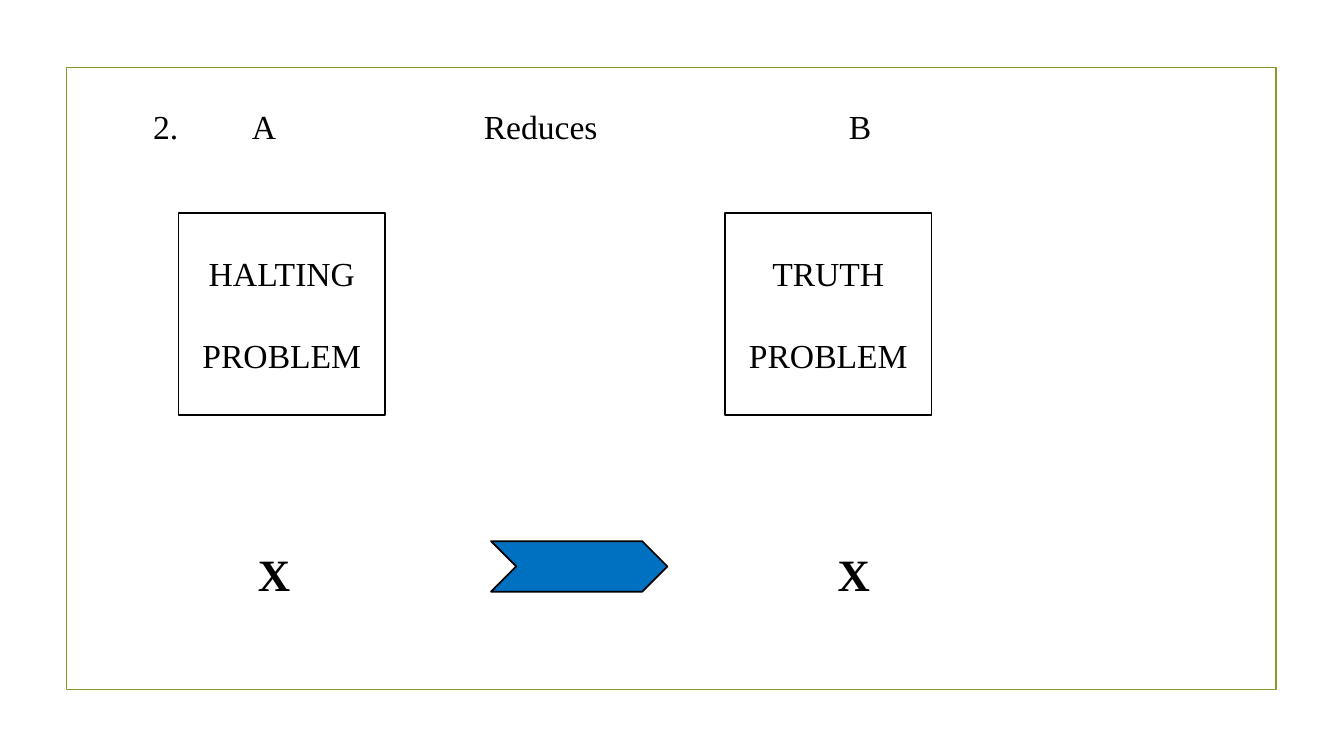
from pptx import Presentation, util as u
from pptx.dml.color import RGBColor
from pptx.enum import shapes, text
from pptx.oxml.ns import qn
from lxml import etree

PX = 9144  # EMU in one px, 100 px to the inch
FONT = "Times New Roman"
BLACK = RGBColor(0, 0, 0)
WHITE = RGBColor(255, 255, 255)
OLIVE = RGBColor(0x83, 0x99, 0x2A)
BLUE = RGBColor(0, 0x70, 0xC0)


def scale(*box):
    return [u.Emu(n * PX) for n in box]


def style(frame, size, bold=False):
    for para in frame.paragraphs:
        for run in para.runs:
            run.font.name = FONT
            run.font.size = u.Pt(size)
            run.font.bold = bold
            run.font.color.rgb = BLACK


def shape(slide, kind, box, fill, line):
    item = slide.shapes.add_shape(kind, *scale(*box))
    item.shadow.inherit = False
    if fill is None:
        item.fill.background()
    else:
        item.fill.solid()
        item.fill.fore_color.rgb = fill
    item.line.color.rgb = line
    item.line.width = u.Pt(1.25)
    return item


def label(slide, box, words, size, bold=False):
    frame = slide.shapes.add_textbox(*scale(*box)).text_frame
    frame.word_wrap = True
    frame.text = words
    style(frame, size, bold)
    return frame


def heading(slide, box, words, stops):
    """Set the words in one line, each after the first at a tab stop."""
    frame = label(slide, box, "\t".join(words), 24)
    props = frame.paragraphs[0]._p.get_or_add_pPr()
    tabs = etree.SubElement(props, qn("a:tabLst"))
    for stop in stops:
        etree.SubElement(tabs, qn("a:tab"), pos=str(stop * PX), algn="l")


def problem(slide, box, name):
    """Draw a problem's square, with its name above the word PROBLEM."""
    square = shape(slide, shapes.MSO_SHAPE.RECTANGLE, box, WHITE, BLACK)
    frame = square.text_frame
    frame.word_wrap = True
    frame.vertical_anchor = text.MSO_ANCHOR.MIDDLE
    frame.text = name + "\nPROBLEM"
    for para in frame.paragraphs:
        para.alignment = text.PP_ALIGN.CENTER
    frame.paragraphs[1].space_before = u.Pt(30)
    style(frame, 24)


def panel(slide, left, top, width, height):
    """Draw the frame and the reduction from A to B inside it."""
    shape(slide, shapes.MSO_SHAPE.RECTANGLE, (left, top, width, height),
          None, OLIVE)
    for name, start, mark in (("HALTING", 111, 180), ("TRUTH", 653, 755)):
        problem(slide, (left + start, top + 144, 205, 201), name)
        label(slide, (left + mark, top + 470, 82, 64), "X", 32, True)
    heading(slide, (left + 76, top + 33, 900, 50),
            ("2.", "A", "Reduces", "B"), (98, 328, 690))
    shape(slide, shapes.MSO_SHAPE.CHEVRON,
          (left + 421, top + 470, 175, 50), BLUE, BLACK)


def main():
    deck = Presentation()
    deck.slide_width, deck.slide_height = scale(1333, 750)
    slide = deck.slides.add_slide(deck.slide_layouts[6])
    panel(slide, 66, 67, 1200, 617)
    deck.save("out.pptx")


if __name__ == "__main__":
    main()
